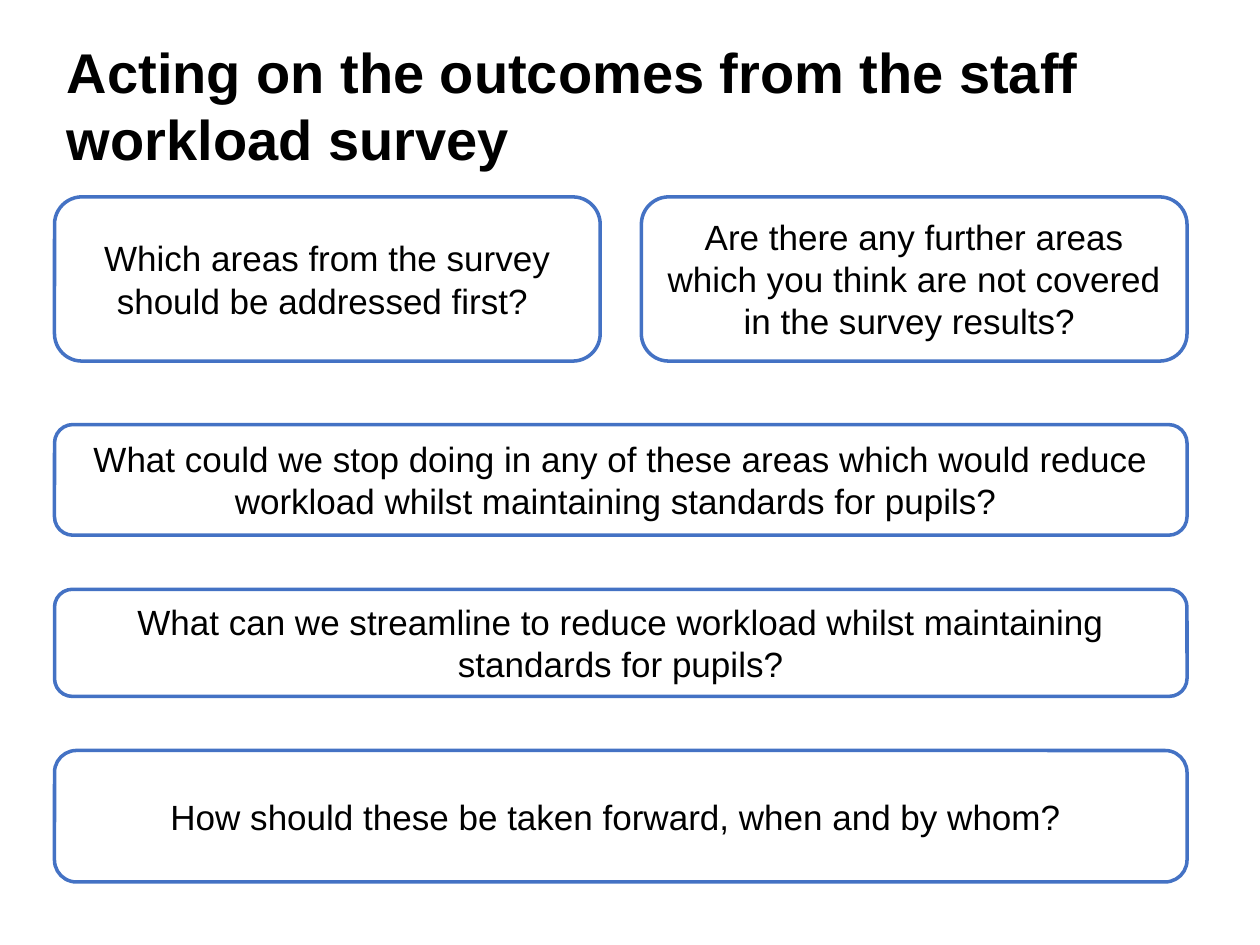
from pptx import Presentation
from pptx.dml.color import RGBColor
from pptx.enum.shapes import MSO_SHAPE
from pptx.enum.text import MSO_ANCHOR, PP_ALIGN
from pptx.util import Cm, Pt

ROUNDED = MSO_SHAPE.ROUNDED_RECTANGLE
MIDDLE = MSO_ANCHOR.MIDDLE
LEFT, CENTER = PP_ALIGN.LEFT, PP_ALIGN.CENTER

FONT = "Arial"
BLACK, BLUE = "000000", "4472C4"

# Layout in centimetres
MARGIN_LEFT = 1.1
FULL_WIDTH = 22.83
COLUMN_GAP = 0.83
HALF_WIDTH = (FULL_WIDTH - COLUMN_GAP) / 2

# Each row: top, height, questions sharing the row
QUESTION_ROWS = [
    (3.97, 3.31, ["Which areas from the survey should be addressed first? ",
                  "Are there any further areas which you think are not "
                  "covered in the survey results? "]),
    (8.56, 2.23, ["What could we stop doing in any of these areas which would "
                  "reduce workload whilst maintaining standards for pupils? "]),
    (11.88, 2.16, ["What can we streamline to reduce workload whilst "
                   "maintaining standards for pupils?"]),
    (15.13, 2.65, ["How should these be taken forward, when and by whom? "]),
]


def color(hex_string):
    return RGBColor.from_string(hex_string)


def write_text(shape, text, size, alignment, bold=False):
    frame = shape.text_frame
    frame.word_wrap = True
    frame.vertical_anchor = MIDDLE
    paragraph = frame.paragraphs[0]
    paragraph.alignment = alignment
    run = paragraph.add_run()
    run.text = text
    run.font.name = FONT
    run.font.size = Pt(size)
    run.font.bold = bold
    run.font.color.rgb = color(BLACK)


def add_title(slide, text):
    title = slide.shapes.add_textbox(Cm(MARGIN_LEFT), Cm(0.91), Cm(22.6), Cm(2.4))
    write_text(title, text, 32, LEFT, bold=True)


def add_question(slide, left, top, width, height, text):
    box = slide.shapes.add_shape(ROUNDED, Cm(left), Cm(top), Cm(width), Cm(height))
    box.shadow.inherit = False
    box.fill.background()
    box.line.color.rgb = color(BLUE)
    box.line.width = Pt(2)
    write_text(box, text, 20, CENTER)


def main():
    presentation = Presentation()
    presentation.slide_width = Cm(25.4)
    presentation.slide_height = Cm(19.05)
    slide = presentation.slides.add_slide(presentation.slide_layouts[6])

    add_title(slide, "Acting on the outcomes from the staff workload survey")

    # Question boxes: two half-width columns or one full-width box
    for top, height, questions in QUESTION_ROWS:
        width = HALF_WIDTH if len(questions) == 2 else FULL_WIDTH
        for column, question in enumerate(questions):
            left = MARGIN_LEFT + column * (width + COLUMN_GAP)
            add_question(slide, left, top, width, height, question)

    presentation.save("out.pptx")


if __name__ == "__main__":
    main()
